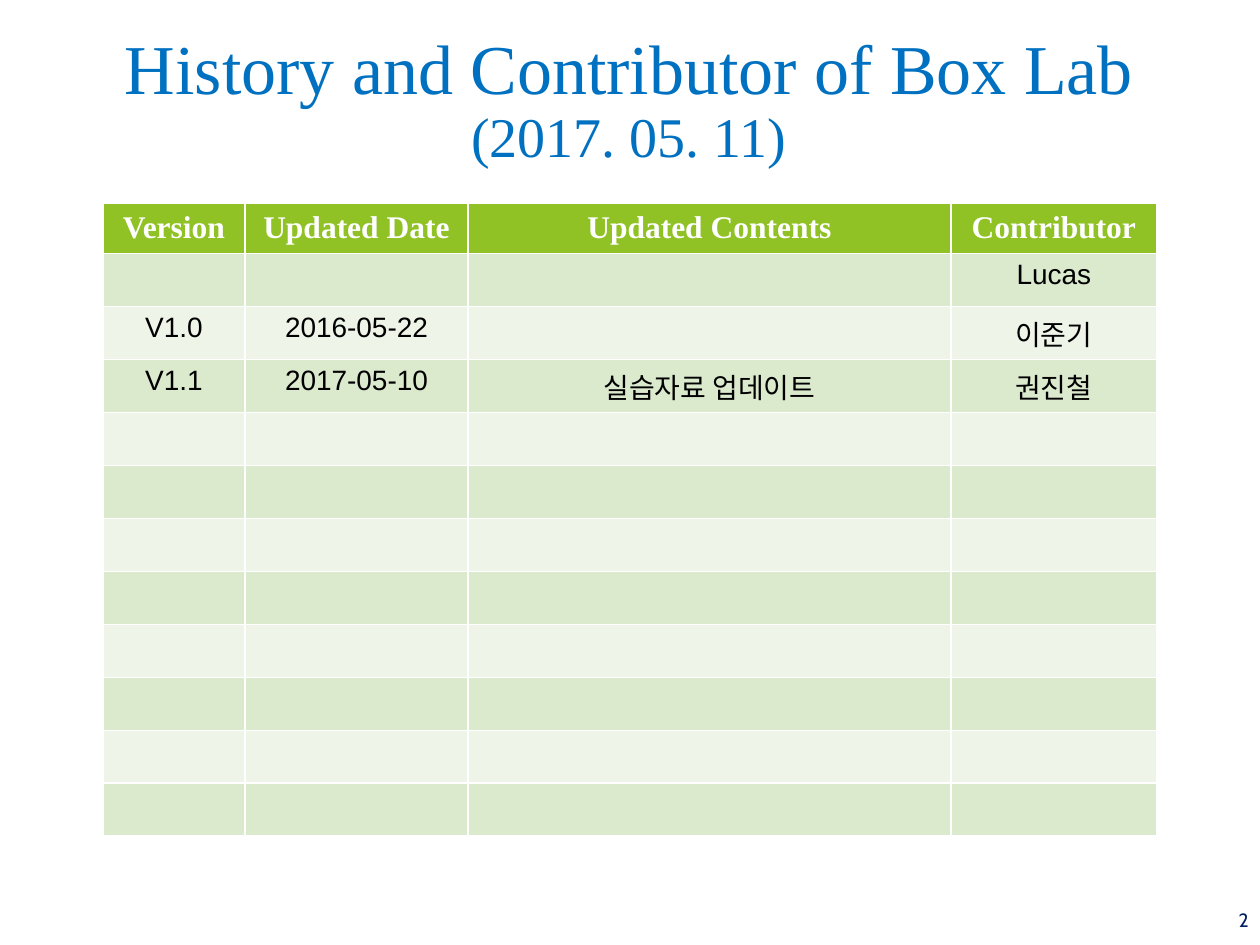
from pptx import Presentation
from pptx.dml.color import RGBColor
from pptx.enum.text import MSO_ANCHOR, MSO_AUTO_SIZE, PP_ALIGN
from pptx.util import Emu, Pt

PX = 914400 / 126
COLUMN_WIDTHS = [142, 223, 483, 206]
HEADER_HEIGHT, ROW_HEIGHT = 50, 53
HEADERS = ["Version", "Updated Date", "Updated Contents", "Contributor"]
HISTORY = [
    ["", "", "", "Lucas"],
    ["V1.0", "2016-05-22", "", "이준기"],
    ["V1.1", "2017-05-10", "실습자료 업데이트", "권진철"],
]
BLANK_ROWS = 8


def px(length):
    """Turn pixels into EMU."""
    return Emu(round(length * PX))


def color(value):
    """Turn a hex string into a colour."""
    return RGBColor.from_string(value)


def format_paragraph(paragraph, font_name, size, text_color, alignment=PP_ALIGN.CENTER, bold=False):
    """Set the font and alignment of a paragraph."""
    paragraph.alignment = alignment
    font = paragraph.font
    font.name, font.size, font.bold = font_name, Pt(size), bold
    font.color.rgb = color(text_color)


def add_title(slide, lines):
    """Fill the title placeholder with (text, size) lines."""
    title = slide.shapes.title
    title.left, title.top, title.width, title.height = map(px, (55, 44, 1148, 116))
    frame = title.text_frame
    frame.auto_size = MSO_AUTO_SIZE.NONE
    frame.vertical_anchor = MSO_ANCHOR.MIDDLE
    frame.text = "\n".join(text for text, _ in lines)
    for paragraph, (_, size) in zip(frame.paragraphs, lines):
        format_paragraph(paragraph, "Times New Roman", size, "0070C0")
        paragraph.line_spacing = 0.9


def fill_cell(cell, text, is_header, fill):
    """Write and format one table cell."""
    cell.fill.solid()
    cell.fill.fore_color.rgb = color(fill)
    cell.text = text
    paragraph = cell.text_frame.paragraphs[0]
    if is_header:
        cell.vertical_anchor = MSO_ANCHOR.MIDDLE
        format_paragraph(paragraph, "Times New Roman", 18, "FFFFFF", bold=True)
    else:
        format_paragraph(paragraph, "Arial", 16, "000000")


def add_history_table(slide):
    """Add the version table with banded rows."""
    rows = [HEADERS] + HISTORY + [[""] * len(HEADERS)] * BLANK_ROWS
    height = HEADER_HEIGHT + ROW_HEIGHT * (len(rows) - 1)
    table = slide.shapes.add_table(
        len(rows), len(HEADERS), px(103), px(203), px(sum(COLUMN_WIDTHS)), px(height)
    ).table
    for column, width in zip(table.columns, COLUMN_WIDTHS):
        column.width = px(width)
    for index, texts in enumerate(rows):
        is_header = index == 0
        table.rows[index].height = px(HEADER_HEIGHT if is_header else ROW_HEIGHT)
        fill = "90C226" if is_header else ("EEF4E8", "DBE9CD")[index % 2]
        for cell, text in zip(table.rows[index].cells, texts):
            fill_cell(cell, text, is_header, fill)


def add_page_number(slide, number):
    """Add the page number at the lower right."""
    frame = slide.shapes.add_textbox(px(1191), px(895), px(70), px(50)).text_frame
    frame.word_wrap = True
    frame.vertical_anchor = MSO_ANCHOR.MIDDLE
    frame.text = number
    format_paragraph(frame.paragraphs[0], "Cabin", 11, "002060", PP_ALIGN.RIGHT)


def main():
    """Build and save the slide."""
    presentation = Presentation()
    presentation.slide_width, presentation.slide_height = px(1260), px(945)
    slide = presentation.slides.add_slide(presentation.slide_layouts[5])
    add_page_number(slide, "2")
    add_title(slide, [("History and Contributor of Box Lab", 40), ("(2017. 05. 11)", 32)])
    add_history_table(slide)
    presentation.save("out.pptx")


if __name__ == "__main__":
    main()
